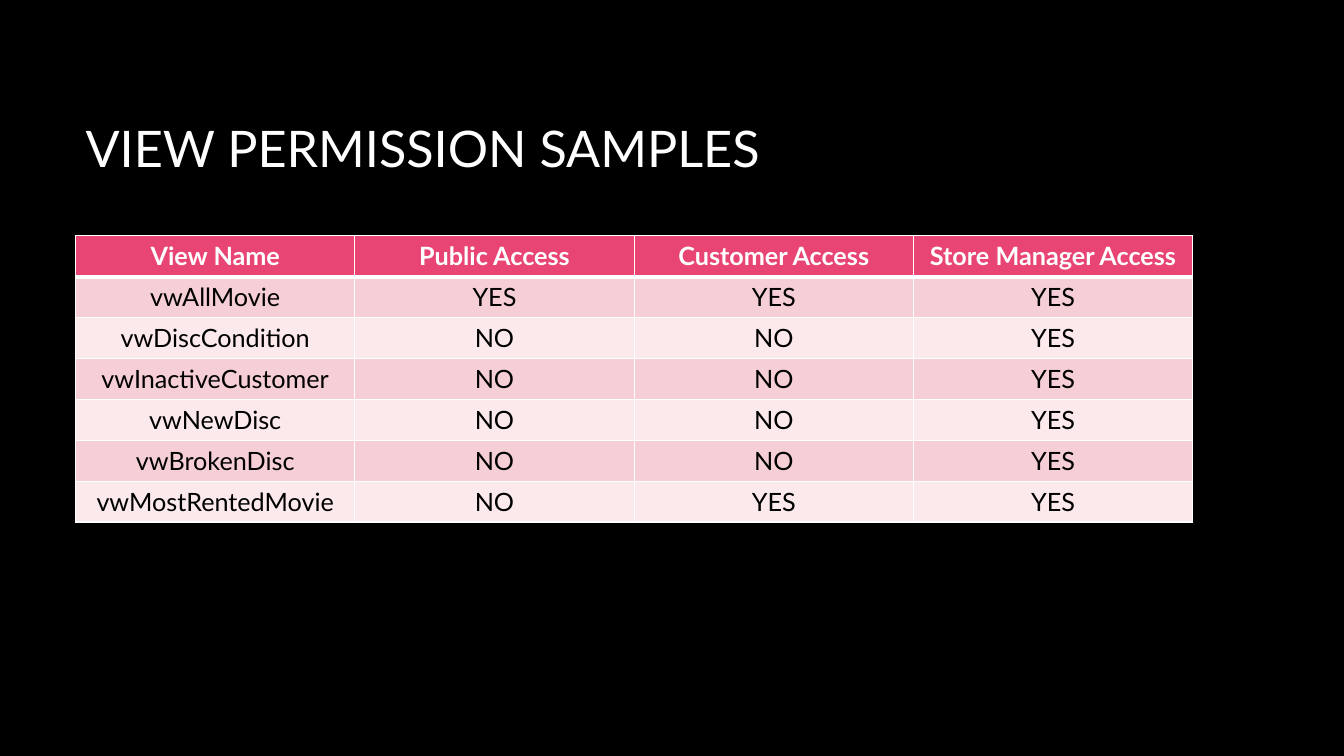
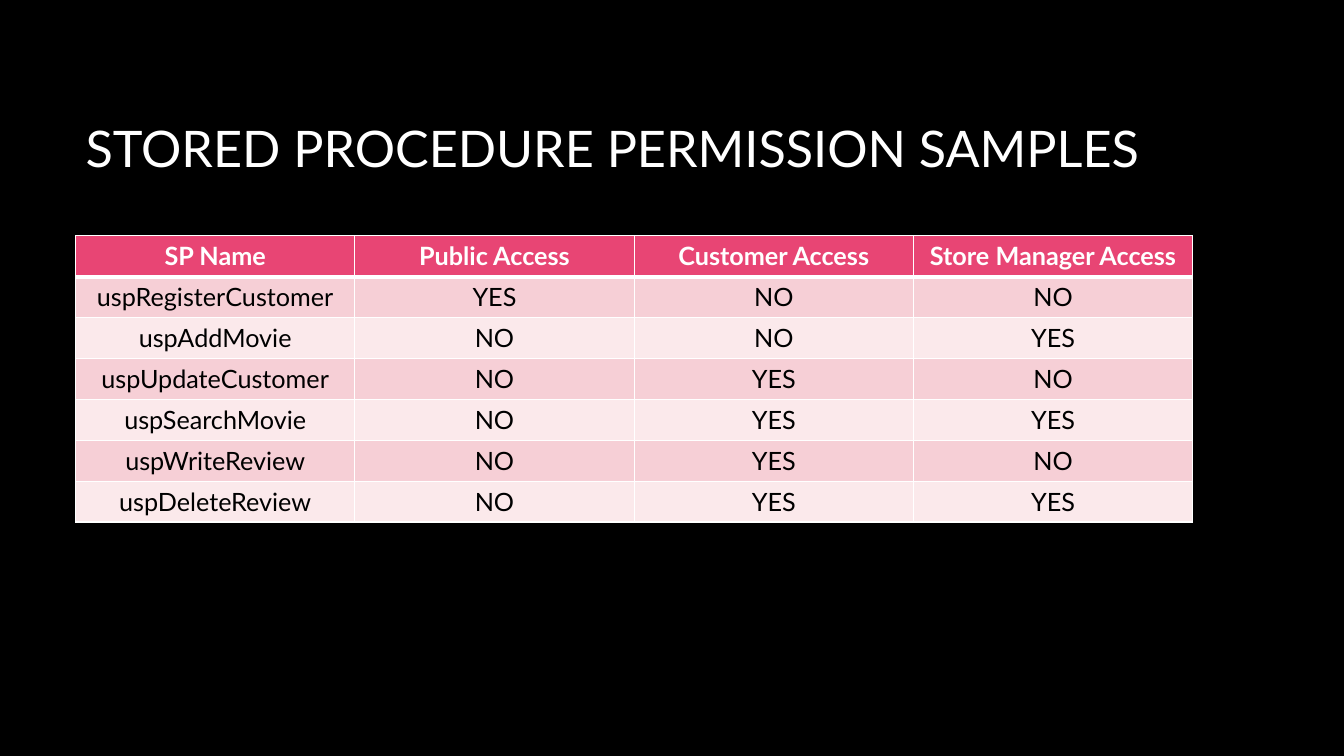
"""Build two slides of database permission tables."""
from lxml import etree
from pptx import Presentation
from pptx.dml.color import RGBColor
from pptx.enum.text import MSO_ANCHOR, MSO_AUTO_SIZE, PP_ALIGN
from pptx.oxml.ns import qn
from pptx.util import Pt

LEFT, CENTER = PP_ALIGN.LEFT, PP_ALIGN.CENTER
MIDDLE, NO_FIT = MSO_ANCHOR.MIDDLE, MSO_AUTO_SIZE.NONE

COLORS = {
    "background": "000000",
    "title": "FFFFFF",
    "border": "FFFFFF",
    "header": "E84574",
    "header_text": "FFFFFF",
    "odd_row": "F6CFD6",
    "even_row": "FBE9EB",
    "body_text": "000000",
}
FONT = "Lato"
TITLE_ONLY = 5
TITLE_BOX = (54, 48, 798, 114.5)
TABLE_BOX = (54, 168.5, 798, 204.4)
THIN, THICK = 1, 3

ACCESS_LEVELS = ["Public Access", "Customer Access", "Store Manager Access"]
PAGES = [
    ("VIEW PERMISSION SAMPLES", "View Name", [
        ("vwAllMovie", "YES", "YES", "YES"),
        ("vwDiscCondition", "NO", "NO", "YES"),
        ("vwInactiveCustomer", "NO", "NO", "YES"),
        ("vwNewDisc", "NO", "NO", "YES"),
        ("vwBrokenDisc", "NO", "NO", "YES"),
        ("vwMostRentedMovie", "NO", "YES", "YES"),
    ]),
    ("STORED PROCEDURE PERMISSION SAMPLES", "SP Name", [
        ("uspRegisterCustomer", "YES", "NO", "NO"),
        ("uspAddMovie", "NO", "NO", "YES"),
        ("uspUpdateCustomer", "NO", "YES", "NO"),
        ("uspSearchMovie", "NO", "YES", "YES"),
        ("uspWriteReview", "NO", "YES", "NO"),
        ("uspDeleteReview", "NO", "YES", "YES"),
    ]),
]


def color(name):
    """Return the named colour."""
    return RGBColor.from_string(COLORS[name])


def write(frame, text, size, color_name, align, bold=False):
    """Put one formatted run in the first paragraph of a text frame."""
    para = frame.paragraphs[0]
    para.alignment = align
    span = para.add_run()
    span.text = text
    span.font.name = FONT
    span.font.size = Pt(size)
    span.font.bold = bold
    span.font.color.rgb = color(color_name)


def add_title(page, text, box):
    """Place the slide title in the given box."""
    title = page.shapes.title
    title.left, title.top, title.width, title.height = map(Pt, box)
    frame = title.text_frame
    frame.word_wrap = True
    frame.auto_size = NO_FIT
    frame.vertical_anchor = MIDDLE
    write(frame, text, 36, "title", LEFT)


def add_borders(cell, top, bottom):
    """Draw the four cell borders with the given top and bottom widths."""
    properties = cell._tc.get_or_add_tcPr()
    for side, width in (("L", THIN), ("R", THIN), ("T", top), ("B", bottom)):
        line = etree.SubElement(properties, qn(f"a:ln{side}"), w=str(Pt(width)))
        fill = etree.SubElement(line, qn("a:solidFill"))
        etree.SubElement(fill, qn("a:srgbClr"), val=COLORS["border"])


def add_permissions(page, rows, box):
    """Fill the given box with a table whose first row is the header."""
    left, top, width, height = box
    columns = len(rows[0])
    table = page.shapes.add_table(len(rows), columns, *map(Pt, box)).table
    for column in table.columns:
        column.width = Pt(width / columns)
    for number, values in enumerate(rows):
        table.rows[number].height = Pt(height / len(rows))
        header = number == 0
        fill = "header" if header else "odd_row" if number % 2 else "even_row"
        text_color = "header_text" if header else "body_text"
        for index, value in enumerate(values):
            cell = table.cell(number, index)
            add_borders(cell, THICK if number == 1 else THIN, THICK if header else THIN)
            cell.fill.solid()
            cell.fill.fore_color.rgb = color(fill)
            write(cell.text_frame, value, 18, text_color, CENTER, header)


def main():
    """Build and save the deck."""
    deck = Presentation()
    deck.slide_width, deck.slide_height = Pt(960), Pt(540)
    background = deck.slide_master.background.fill
    background.solid()
    background.fore_color.rgb = color("background")
    for title, name_heading, permissions in PAGES:
        page = deck.slides.add_slide(deck.slide_layouts[TITLE_ONLY])
        add_title(page, title, TITLE_BOX)
        add_permissions(page, [[name_heading, *ACCESS_LEVELS], *permissions], TABLE_BOX)
    deck.save("out.pptx")


if __name__ == "__main__":
    main()
